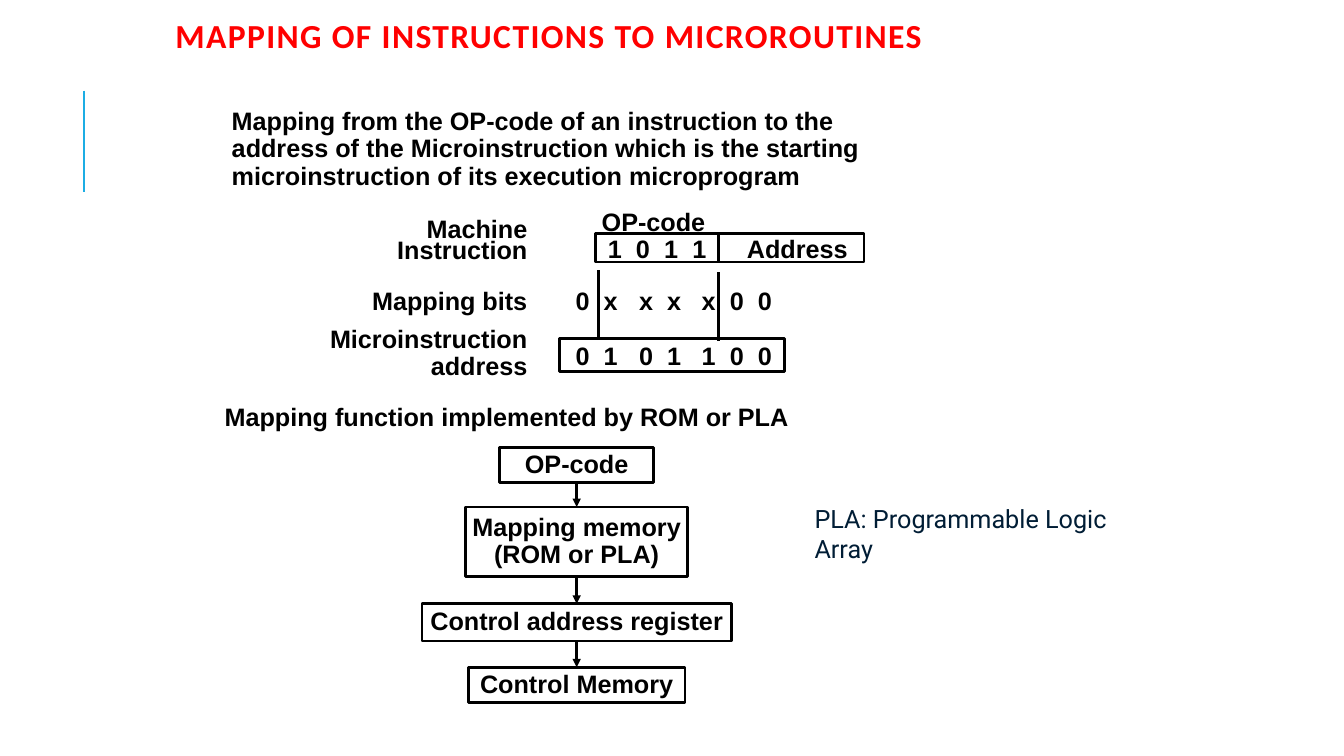
from lxml import etree
from pptx import Presentation
from pptx import util as u
from pptx.dml.color import RGBColor
from pptx.enum import shapes, text
from pptx.oxml.ns import qn

COLORS = {"title": "FF0000", "ink": "000000", "accent": "1CADE4", "note": "001D35"}
LEFT, CENTER, RIGHT = text.PP_ALIGN.LEFT, text.PP_ALIGN.CENTER, text.PP_ALIGN.RIGHT

deck = Presentation()
deck.slide_width, deck.slide_height = u.Inches(13.33), u.Inches(7.5)
slide = deck.slides.add_slide(deck.slide_layouts[6])


def write(shape, content, align=LEFT, spacing=0.9, size=18, font="Arial",
          color="ink", bold=True, tabs=()):
    """Fill a shape with text, one paragraph per line."""
    frame = shape.text_frame
    frame.word_wrap = True
    frame.text = content
    for paragraph in frame.paragraphs:
        if tabs:
            tab_list = etree.SubElement(paragraph._p.get_or_add_pPr(), qn("a:tabLst"))
            for stop in tabs:
                etree.SubElement(tab_list, qn("a:tab"), pos=str(u.Inches(stop)), algn="l")
        paragraph.alignment = align
        paragraph.line_spacing = spacing
        for run in paragraph.runs:
            run.font.size, run.font.name, run.font.bold = u.Pt(size), font, bold
            run.font.color.rgb = RGBColor.from_string(COLORS[color])
    return frame


def style_line(connector, color="ink", width=2, arrow=False):
    """Give a connector its colour and width, without a shadow."""
    connector.line.color.rgb = RGBColor.from_string(COLORS[color])
    connector.line.width = u.Pt(width)
    if arrow:
        etree.SubElement(connector.line._get_or_add_ln(), qn("a:tailEnd"), type="triangle")
    etree.SubElement(connector._element.spPr, qn("a:effectLst"))


# Title
title = slide.shapes.add_textbox(*map(u.Inches, (1.67, 0.2, 9.84, 0.65)))
title_frame = write(title, "MAPPING OF INSTRUCTIONS TO MICROROUTINES", spacing=0.8,
                    size=24, font="Calibri", color="title")
title_frame.margin_left = title_frame.margin_right = u.Inches(0.07)
title_frame.margin_top = title_frame.margin_bottom = u.Inches(0.03)
title_frame.paragraphs[0].runs[0].font._element.set("spc", "100")

# Statements and row labels: left, top, width, height, words, alignment, line spacing
intro = ("Mapping from the OP-code of an instruction to the\n"
         "address of the Microinstruction which is the starting\n"
         "microinstruction of its execution microprogram")
for left, top, width, height, words, align, spacing in [
    (2.2, 1.03, 6.69, 0.92, intro, LEFT, 0.9),
    (2.13, 3.97, 6, 0.37, "Mapping function implemented by ROM or PLA", LEFT, 0.9),
    (5.87, 2.03, 1.4, 0.37, "OP-code", LEFT, 0.9),
    (3.03, 2.15, 2.3, 0.53, "Machine\nInstruction", RIGHT, 0.7),
    (3.03, 2.82, 2.3, 0.37, "Mapping bits", RIGHT, 0.9),
    (3.03, 3.19, 2.3, 0.64, "Microinstruction\naddress", RIGHT, 0.9),
]:
    label = slide.shapes.add_textbox(*map(u.Inches, (left, top, width, height)))
    write(label, words, align, spacing)

# Bit rows, set out with tab stops
instruction_tabs = (0.28, 0.56, 0.84, 1.38)
address_tabs = (0.28, 0.63, 0.91, 1.25, 1.53, 1.81)
for left, top, bits, tabs in [
    (5.93, 2.3, ("1", "0", "1", "1", "Address"), instruction_tabs),
    (5.61, 2.82, "0xxxx00", address_tabs),
    (5.61, 3.36, "0101100", address_tabs),
]:
    bit_row = slide.shapes.add_textbox(*map(u.Inches, (left, top, 2.7, 0.37)))
    write(bit_row, "\t".join(bits), tabs=tabs)

# Frames of the bit rows and boxes of the flow: left, top, width, height, words
AXIS = 5.72
frames = [(5.91, 2.32, 2.66, 0.28, ""), (5.55, 3.36, 2.23, 0.33, "")]
steps = [(AXIS - width / 2, top, width, height, words) for top, width, height, words in [
    (4.44, 1.53, 0.35, "OP-code"),
    (5.03, 2.2, 0.69, "Mapping memory\n(ROM or PLA)"),
    (5.99, 3.07, 0.37, "Control address register"),
    (6.62, 2.15, 0.35, "Control Memory"),
]]
flow = []
for left, top, width, height, words in frames + steps:
    box = slide.shapes.add_shape(shapes.MSO_SHAPE.RECTANGLE,
                                 *map(u.Inches, (left, top, width, height)))
    box.shadow.inherit = False
    box.fill.background()
    box.line.color.rgb = RGBColor.from_string(COLORS["ink"])
    box.line.width = u.Pt(2)
    if words:
        step_frame = write(box, words, CENTER)
        step_frame.margin_left = step_frame.margin_right = 0
        step_frame.margin_top = step_frame.margin_bottom = 0
        step_frame.vertical_anchor = text.MSO_ANCHOR.MIDDLE
        flow.append(box)

# Accent rule, field divider and mapping guides
for x, top, bottom, color, width in [
    (0.83, 0.9, 1.9, "accent", 1.5),
    (7.13, 2.32, 2.61, "ink", 2),
    (5.94, 2.68, 3.35, "ink", 2),
    (7.13, 2.7, 3.38, "ink", 2),
]:
    rule = slide.shapes.add_connector(shapes.MSO_CONNECTOR.STRAIGHT,
                                      *map(u.Inches, (x, top, x, bottom)))
    style_line(rule, color, width)

# Arrows from each step to the next
for source, target in zip(flow, flow[1:]):
    arrow = slide.shapes.add_connector(shapes.MSO_CONNECTOR.STRAIGHT, 0, 0, 0, 0)
    arrow.begin_connect(source, 2)
    arrow.end_connect(target, 0)
    style_line(arrow, arrow=True)

# Abbreviation note
note = slide.shapes.add_textbox(*map(u.Inches, (7.98, 4.94, 3.65, 0.4)))
write(note, "PLA: Programmable Logic Array", spacing=1.0, font="Roboto",
      color="note", bold=False)

deck.save("out.pptx")
